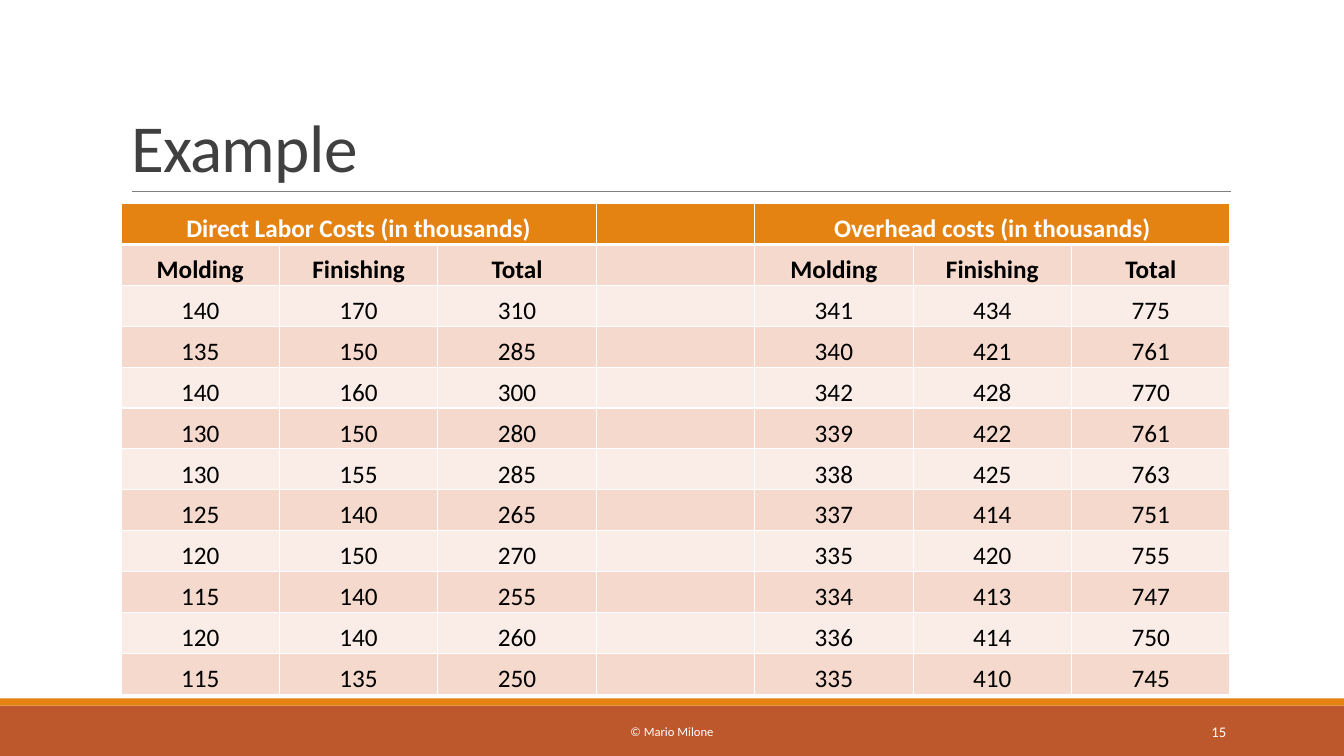
from lxml import etree
from pptx import Presentation
from pptx.dml.color import RGBColor
from pptx.enum.shapes import MSO_CONNECTOR, MSO_SHAPE
from pptx.enum.text import MSO_ANCHOR as Anchor, MSO_AUTO_SIZE, PP_ALIGN as Align
from pptx.oxml.ns import qn
from pptx.util import Inches, Pt

COLORS = {
    "rust": "BD582C",
    "orange": "E48312",
    "dark_band": "F5D9CC",
    "light_band": "FAEDE7",
    "rule": "808080",
    "title": "404040",
    "white": "FFFFFF",
    "black": "000000",
}
FONT = "Calibri"

# Costs in thousands: (molding, finishing) pairs, one per row
LABOR = [(140, 170), (135, 150), (140, 160), (130, 150), (130, 155),
         (125, 140), (120, 150), (115, 140), (120, 140), (115, 135)]
OVERHEAD = [(341, 434), (340, 421), (342, 428), (339, 422), (338, 425),
            (337, 414), (335, 420), (334, 413), (336, 414), (335, 410)]
COLUMN_HEADS = ["Molding", "Finishing", "Total"]
OVERHEAD_COLUMN = 4


def rgb(name):
    return RGBColor.from_string(COLORS[name])


def add_span(para, text, size, color, bold=False):
    span = para.add_run()
    span.text = text
    span.font.name = FONT
    span.font.size = Pt(size)
    span.font.bold = bold
    span.font.color.rgb = rgb(color)
    return span


def add_bar(page, top, height, color):
    bar = page.shapes.add_shape(MSO_SHAPE.RECTANGLE, 0, Inches(top),
                                Inches(13.33), Inches(height))
    bar.shadow.inherit = False
    bar.fill.solid()
    bar.fill.fore_color.rgb = rgb(color)
    bar.line.fill.background()


def add_rule(page, left, right, top):
    rule = page.shapes.add_connector(MSO_CONNECTOR.STRAIGHT, Inches(left), Inches(top),
                                     Inches(right), Inches(top))
    rule.line.color.rgb = rgb("rule")
    rule.line.width = Pt(0.5)
    etree.SubElement(rule._element.spPr, qn("a:effectLst"))


def add_title(page, text):
    title = page.shapes.title
    title.left, title.top = Inches(1.2), Inches(0.31)
    title.width, title.height = Inches(11), Inches(1.59)
    frame = title.text_frame
    frame.auto_size = MSO_AUTO_SIZE.NONE
    frame.vertical_anchor = Anchor.BOTTOM
    para = frame.paragraphs[0]
    para.alignment = Align.LEFT
    para.line_spacing = 0.85
    span = add_span(para, text, 48, "title")
    span.font._element.set("spc", "-50")


def add_footer(page, left, width, text, size, alignment):
    box = page.shapes.add_textbox(Inches(left), Inches(7.06), Inches(width), Inches(0.4))
    frame = box.text_frame
    frame.word_wrap = True
    frame.vertical_anchor = Anchor.MIDDLE
    para = frame.paragraphs[0]
    para.alignment = alignment
    add_span(para, text, size, "white")


def style_cell(cell, fill, bottom_width):
    properties = cell._tc.get_or_add_tcPr()
    for side, width in (("L", 1), ("R", 1), ("T", 1), ("B", bottom_width)):
        line = etree.SubElement(properties, qn(f"a:ln{side}"), w=str(Pt(width)))
        paint = etree.SubElement(line, qn("a:solidFill"))
        etree.SubElement(paint, qn("a:srgbClr"), val=COLORS["white"])
    cell.fill.solid()
    cell.fill.fore_color.rgb = rgb(fill)


def write_cell(cell, text, color, bold):
    cell.margin_left = cell.margin_right = cell.margin_top = Inches(0.01)
    cell.margin_bottom = 0
    cell.vertical_anchor = Anchor.BOTTOM
    para = cell.text_frame.paragraphs[0]
    para.alignment = Align.CENTER
    add_span(para, text, 18, color, bold)


def add_cost_table(page):
    rows = [["Direct Labor Costs (in thousands)", "", "", "",
             "Overhead costs (in thousands)", "", ""],
            COLUMN_HEADS + [""] + COLUMN_HEADS]
    for labor, overhead in zip(LABOR, OVERHEAD):
        rows.append([*labor, sum(labor), "", *overhead, sum(overhead)])

    table = page.shapes.add_table(len(rows), len(rows[0]), Inches(1.2), Inches(2.02),
                                  Inches(11), Inches(4.87)).table
    table.first_row = table.horz_banding = False

    for r, values in enumerate(rows):
        band = "orange" if r == 0 else ("dark_band" if r % 2 else "light_band")
        for c, value in enumerate(values):
            cell = table.cell(r, c)
            style_cell(cell, band, 3 if r == 0 else 1)
            if value != "":
                write_cell(cell, str(value), "white" if r == 0 else "black", r < 2)

    # Group headings span three columns each
    for first in (0, OVERHEAD_COLUMN):
        table.cell(0, first).merge(table.cell(0, first + 2))


def main():
    deck = Presentation()
    deck.slide_width, deck.slide_height = Inches(13.33), Inches(7.5)
    page = deck.slides.add_slide(deck.slide_layouts[5])

    # Bottom bars and title rule
    add_bar(page, 7, 0.5, "rust")
    add_bar(page, 6.93, 0.07, "orange")
    add_rule(page, 1.31, 12.21, 1.9)

    # Content
    add_title(page, "Example")
    add_cost_table(page)

    # Footer
    add_footer(page, 4.03, 5.27, "© Mario Milone", 9, Align.CENTER)
    add_footer(page, 10.83, 1.43, "15", 10.5, Align.RIGHT)

    deck.save("out.pptx")


if __name__ == "__main__":
    main()
